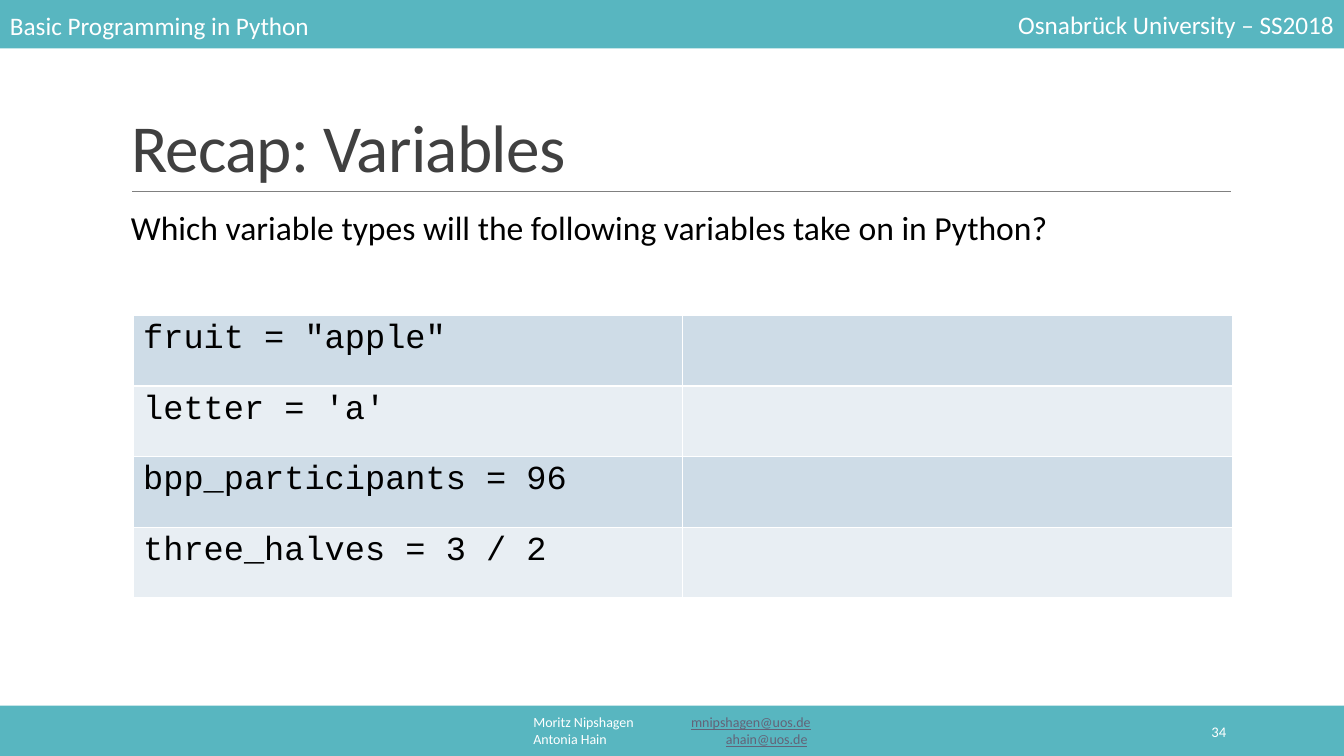
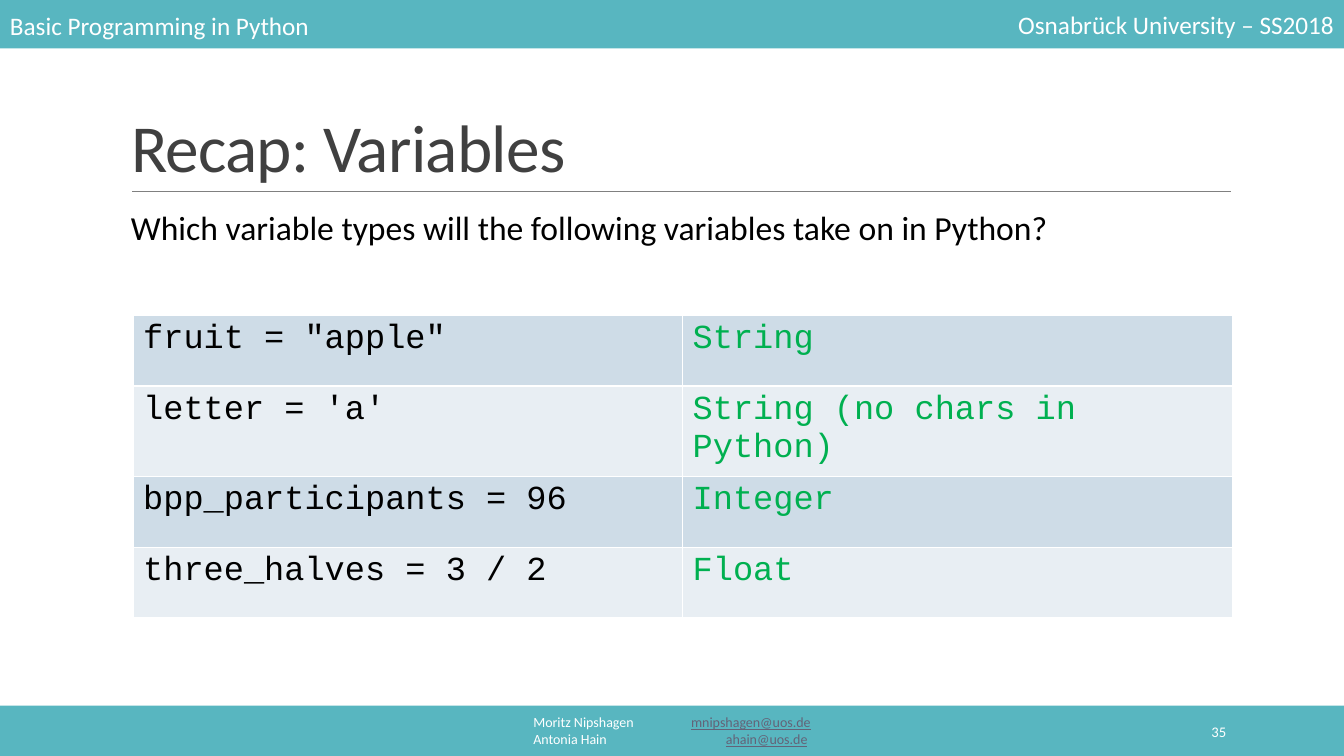
from dataclasses import dataclass

from lxml import etree
from pptx import Presentation
from pptx.dml.color import RGBColor
from pptx.enum.shapes import MSO_CONNECTOR, MSO_SHAPE
from pptx.enum.text import MSO_ANCHOR, MSO_AUTO_SIZE, PP_ALIGN
from pptx.oxml.ns import qn
from pptx.util import Inches, Pt

LEFT, CENTER, RIGHT = PP_ALIGN.LEFT, PP_ALIGN.CENTER, PP_ALIGN.RIGHT
TOP, MIDDLE, BOTTOM = MSO_ANCHOR.TOP, MSO_ANCHOR.MIDDLE, MSO_ANCHOR.BOTTOM
NO_AUTOFIT = MSO_AUTO_SIZE.NONE
RECTANGLE = MSO_SHAPE.RECTANGLE
STRAIGHT = MSO_CONNECTOR.STRAIGHT

TEAL = RGBColor(0x58, 0xB6, 0xC0)
WHITE = RGBColor(0xFF, 0xFF, 0xFF)
BLACK = RGBColor(0x00, 0x00, 0x00)
TITLE_GRAY = RGBColor(0x40, 0x40, 0x40)
RULE_GRAY = RGBColor(0x80, 0x80, 0x80)
LINK_GRAY = RGBColor(0x63, 0x63, 0x78)
ANSWER_GREEN = RGBColor(0x00, 0xB0, 0x50)
ROW_FILLS = (RGBColor(0xCE, 0xDC, 0xE7), RGBColor(0xE8, 0xEE, 0xF3))

BODY_FONT = "Calibri"
CODE_FONT = "Courier New"
SLIDE_WIDTH, SLIDE_HEIGHT = 13.33, 7.5
BAND_HEIGHT = 0.5
BAND_TOPS = (-0.02, SLIDE_HEIGHT - BAND_HEIGHT)
COLUMN_WIDTH, ROW_HEIGHT = 5.45, 0.7
EMAIL_TAB = 2.75


@dataclass(frozen=True)
class Box:
    left: float
    top: float
    width: float
    height: float

    def lengths(self):
        return tuple(map(Inches, (self.left, self.top, self.width, self.height)))


@dataclass(frozen=True)
class Style:
    size: float
    color: RGBColor
    font: str = BODY_FONT
    underline: bool = False


@dataclass(frozen=True)
class Label:
    text: str
    box: Box
    style: Style
    align: PP_ALIGN = LEFT
    anchor: MSO_ANCHOR = MIDDLE


@dataclass(frozen=True)
class Author:
    name: str
    email: str
    ending: str = ""


@dataclass(frozen=True)
class Recap:
    number: int
    answers: tuple[str, ...]


HEADER_STYLE = Style(18, WHITE)
FOOTER_STYLE = Style(10, WHITE)
EMAIL_STYLE = Style(10, LINK_GRAY, underline=True)
NUMBER_STYLE = Style(10.5, WHITE)
TITLE_STYLE = Style(48, TITLE_GRAY)
QUESTION_STYLE = Style(24, BLACK)
CODE_STYLE = Style(24, BLACK, CODE_FONT)
ANSWER_STYLE = Style(24, ANSWER_GREEN, CODE_FONT)

TITLE = "Recap: Variables"
TITLE_BOX = Box(1.2, 1.08, 11, 0.82)
AUTHORS_BOX = Box(4.03, 7.05, 5.27, 0.4)
NUMBER_BOX = Box(10.83, 7.06, 1.43, 0.4)
LABELS = (
    Label("Basic Programming in Python", Box(0, 0.05, 5.27, 0.4), HEADER_STYLE),
    Label("Osnabrück University – SS2018", Box(8.06, 0.04, 5.27, 0.4), HEADER_STYLE, RIGHT),
    Label(
        "Which variable types will the following variables take on in Python?",
        Box(1.2, 2, 11.02, 0.5), QUESTION_STYLE, anchor=TOP,
    ),
)
AUTHORS = (
    Author("Moritz Nipshagen", "mnipshagen@uos.de"),
    Author("Antonia Hain", "ahain@uos.de", " "),
)
ASSIGNMENTS = (
    'fruit = "apple"',
    "letter = 'a'",
    "bpp_participants = 96",
    "three_halves = 3 / 2",
)
RECAPS = (
    Recap(34, ("",) * len(ASSIGNMENTS)),
    Recap(35, ("String", "String (no chars in Python)", "Integer", "Float")),
)


def add_run(paragraph, text: str, style: Style):
    run = paragraph.add_run()
    run.text = text
    run.font.name = style.font
    run.font.size = Pt(style.size)
    run.font.color.rgb = style.color
    run.font.underline = style.underline
    return run


def add_frame(slide, box: Box, anchor: MSO_ANCHOR):
    frame = slide.shapes.add_textbox(*box.lengths()).text_frame
    frame.word_wrap = True
    frame.vertical_anchor = anchor
    return frame


def add_label(slide, label: Label) -> None:
    paragraph = add_frame(slide, label.box, label.anchor).paragraphs[0]
    paragraph.alignment = label.align
    add_run(paragraph, label.text, label.style)


def add_band(slide, top: float) -> None:
    band = slide.shapes.add_shape(
        RECTANGLE, *Box(0, top, SLIDE_WIDTH, BAND_HEIGHT).lengths()
    )
    band.shadow.inherit = False
    band.fill.solid()
    band.fill.fore_color.rgb = TEAL
    band.line.fill.background()


def add_title_rule(slide) -> None:
    rule = slide.shapes.add_connector(
        STRAIGHT, Inches(1.31), Inches(1.9), Inches(12.21), Inches(1.9)
    )
    rule.line.color.rgb = RULE_GRAY
    rule.line.width = Pt(0.5)
    etree.SubElement(rule._element.spPr, qn("a:effectLst"))


def add_authors(slide) -> None:
    frame = add_frame(slide, AUTHORS_BOX, MIDDLE)
    for index, author in enumerate(AUTHORS):
        paragraph = frame.add_paragraph() if index else frame.paragraphs[0]
        paragraph.alignment = CENTER
        tabs = etree.SubElement(paragraph._p.get_or_add_pPr(), qn("a:tabLst"))
        etree.SubElement(tabs, qn("a:tab"), pos=str(Inches(EMAIL_TAB)), algn="r")
        add_run(paragraph, author.name + "\t", FOOTER_STYLE)
        add_run(paragraph, author.email, EMAIL_STYLE)
        if author.ending:
            add_run(paragraph, author.ending, FOOTER_STYLE)


def set_title(slide) -> None:
    title = slide.shapes.title
    title.left, title.top, title.width, title.height = TITLE_BOX.lengths()
    frame = title.text_frame
    frame.auto_size = NO_AUTOFIT
    frame.word_wrap = True
    frame.vertical_anchor = BOTTOM
    paragraph = frame.paragraphs[0]
    paragraph.alignment = LEFT
    paragraph.line_spacing = 0.85
    run = add_run(paragraph, TITLE, TITLE_STYLE)
    run._r.get_or_add_rPr().set("spc", "-50")


def fill_cell(cell, text: str, style: Style, fill: RGBColor) -> None:
    properties = cell._tc.get_or_add_tcPr()
    for side in ("lnL", "lnR", "lnT", "lnB"):
        border = etree.SubElement(properties, qn(f"a:{side}"), w=str(Pt(1)))
        solid = etree.SubElement(border, qn("a:solidFill"))
        etree.SubElement(solid, qn("a:srgbClr"), val=str(WHITE))
    cell.fill.solid()
    cell.fill.fore_color.rgb = fill
    if text:
        add_run(cell.text_frame.paragraphs[0], text, style)


def add_variable_table(slide, answers: tuple[str, ...]) -> None:
    box = Box(1.32, 3.13, 2 * COLUMN_WIDTH, len(ASSIGNMENTS) * ROW_HEIGHT)
    table = slide.shapes.add_table(len(ASSIGNMENTS), 2, *box.lengths()).table
    table.first_row = False
    for column in table.columns:
        column.width = Inches(COLUMN_WIDTH)
    for index, (assignment, answer) in enumerate(zip(ASSIGNMENTS, answers)):
        table.rows[index].height = Inches(ROW_HEIGHT)
        fill = ROW_FILLS[index % len(ROW_FILLS)]
        fill_cell(table.cell(index, 0), assignment, CODE_STYLE, fill)
        fill_cell(table.cell(index, 1), answer, ANSWER_STYLE, fill)


def add_recap(presentation, recap: Recap) -> None:
    slide = presentation.slides.add_slide(presentation.slide_layouts[5])
    add_title_rule(slide)
    for top in BAND_TOPS:
        add_band(slide, top)
    add_authors(slide)
    set_title(slide)
    for label in LABELS:
        add_label(slide, label)
    add_label(slide, Label(str(recap.number), NUMBER_BOX, NUMBER_STYLE, RIGHT))
    add_variable_table(slide, recap.answers)


def main() -> None:
    presentation = Presentation()
    presentation.slide_width = Inches(SLIDE_WIDTH)
    presentation.slide_height = Inches(SLIDE_HEIGHT)
    for recap in RECAPS:
        add_recap(presentation, recap)
    presentation.save("out.pptx")


if __name__ == "__main__":
    main()
